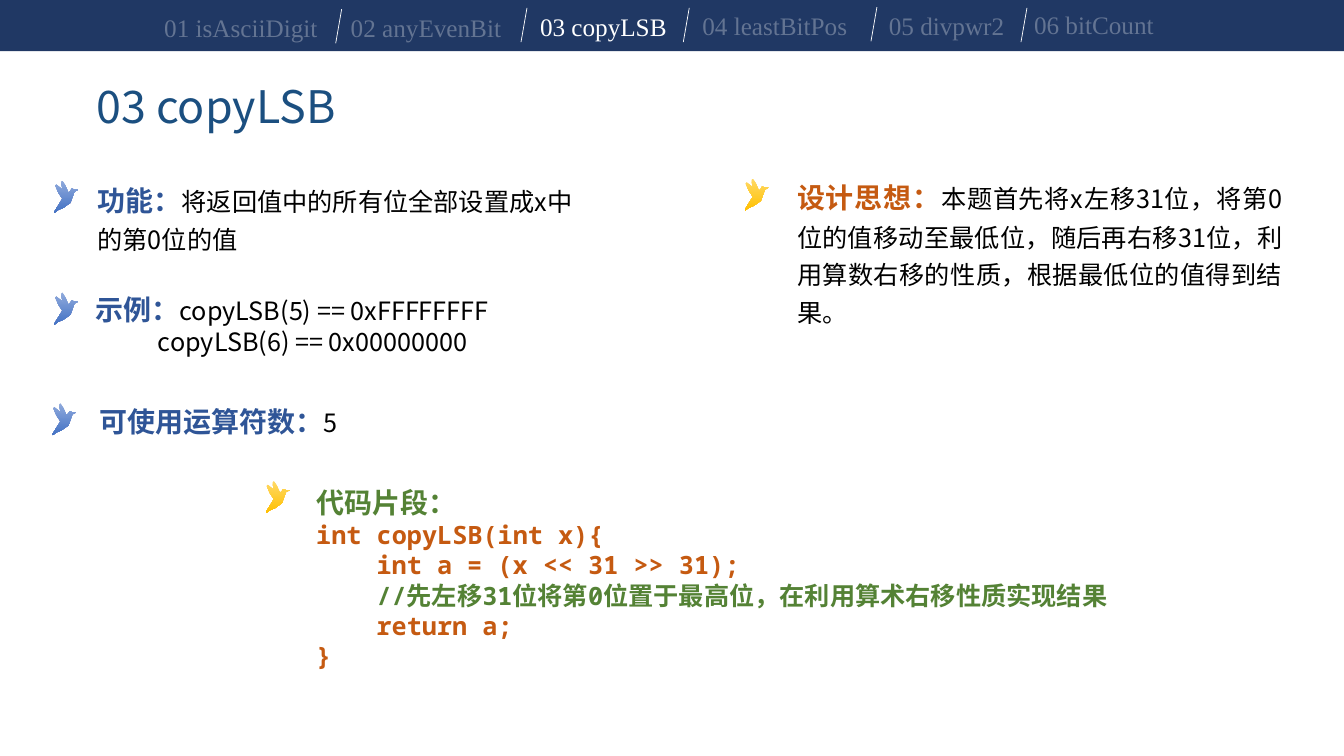
"""Build the copyLSB function slide with its navigation bar."""
from dataclasses import dataclass

from lxml.etree import SubElement
from pptx import Presentation
from pptx.dml.color import RGBColor
from pptx.enum.shapes import MSO_CONNECTOR, MSO_SHAPE
from pptx.enum.text import MSO_AUTO_SIZE, PP_ALIGN
from pptx.oxml.ns import qn
from pptx.util import Cm, Pt


@dataclass(frozen=True)
class Theme:
    navy: str = "203864"
    title: str = "1B4F80"
    blue: str = "2F5597"
    orange: str = "C55A11"
    green: str = "548235"
    white: str = "FFFFFF"
    black: str = "000000"
    blue_bird: tuple = ("8FAADC", "4472C4")
    gold_bird: tuple = ("FFD966", "FFC000")
    sans: str = "Noto Sans CJK SC"
    mono: str = "Noto Sans Mono"
    serif: str = "Times New Roman"
    title_size: int = 32
    head_size: int = 20
    body_size: int = 18
    dim: int = 30


T = Theme()
BIRD = [(24, 9), (20, 9), (18.5, 8), (17, 8), (15.5, 9.5), (14, 12), (11, 5), (8, 0),
        (7, 1), (7, 4), (8, 8), (10.5, 11), (12, 14), (12, 15), (7.4, 8), (2, 4),
        (1, 5), (3.8, 11.9), (8, 18), (0, 31), (0, 32), (4.5, 28.7), (9, 27),
        (16.4, 21.6), (20, 11)]
TABS = [("01 isAsciiDigit", 3.89, 0.18, 4.42), ("02 anyEvenBit", 8.59, 0.18, 4.34),
        ("03 copyLSB", 13.36, 0.15, 3.73), ("04 leastBitPos", 17.45, 0.13, 4.19),
        ("05 divpwr2", 22.15, 0.13, 3.45), ("06 bitCount", 25.81, 0.1, 3.56)]
SLASHES = [(8.46, 0.23), (13.13, 0.2), (17.22, 0.2), (21.95, 0.18), (25.73, 0.2)]


def apply(target, values):
    """Set every named attribute on the target."""
    for name, value in values.items():
        setattr(target, name, value)


def run(text, color, size=T.body_size, font=T.sans, bold=False, alpha=None):
    """Describe one run of text."""
    return text, color, alpha, {"size": Pt(size), "name": font, "bold": bold}


def head(text, color):
    """Describe a bold section label."""
    return run(text, color, T.head_size, bold=True)


def code(text, color=T.orange):
    """Describe a line of code."""
    return run(text, color, font=T.mono, bold=True)


def add_run(p, text, color, alpha, font):
    """Append a formatted run to a paragraph."""
    r = p.add_run()
    r.text = text
    apply(r.font, font)
    r.font.color.rgb = RGBColor.from_string(color)
    rPr = r.font._element
    if alpha:
        clr = rPr.find(qn("a:solidFill")).find(qn("a:srgbClr"))
        SubElement(clr, qn("a:alpha"), val=str(alpha * 1000))
    face = T.serif if font["name"] == T.serif else T.sans
    SubElement(rPr, qn("a:ea"), typeface=face)


def add_text(s, box, paragraphs, wrap=True, **layout):
    """Add a text box from pairs of left indent and runs."""
    tf = s.shapes.add_textbox(*map(Cm, box)).text_frame
    apply(tf, {"word_wrap": wrap, "auto_size": MSO_AUTO_SIZE.SHAPE_TO_FIT_TEXT})
    for i, (indent, runs) in enumerate(paragraphs):
        p = tf.add_paragraph() if i else tf.paragraphs[0]
        apply(p, layout)
        if indent:
            p._p.get_or_add_pPr().set("marL", str(Cm(indent)))
        for r in runs:
            add_run(p, *r)


def add_bar(s):
    """Add the navy band across the top."""
    sp = s.shapes.add_shape(MSO_SHAPE.RECTANGLE, 0, Cm(-0.08), Cm(33.87), Cm(1.37))
    sp.shadow.inherit = False
    sp.fill.solid()
    sp.fill.fore_color.rgb = RGBColor.from_string(T.navy)
    sp.line.fill.background()


def add_slash(s, x, y):
    """Add a slanted separator between two tabs."""
    ends = map(Cm, (x + 0.15, y, x, y + 0.86))
    line = s.shapes.add_connector(MSO_CONNECTOR.STRAIGHT, *ends)
    line.line.width = Pt(0.5)
    line.line.color.rgb = RGBColor.from_string(T.white)
    SubElement(line._element.spPr, qn("a:effectLst"))


def add_bird(s, x, y, colors):
    """Add a bird bullet with a vertical gradient."""
    builder = s.shapes.build_freeform(*BIRD[0], scale=Cm(0.0254))
    builder.add_line_segments(BIRD[1:], close=True)
    sp = builder.convert_to_shape(Cm(x), Cm(y))
    sp.shadow.inherit = False
    sp.line.fill.background()
    sp.fill.gradient()
    sp.fill.gradient_angle = 270
    for stop, color in zip(sp.fill.gradient_stops, colors):
        stop.color.rgb = RGBColor.from_string(color)


def add_navigation(s, current):
    """Add the bar, its tabs and separators."""
    add_bar(s)
    for label, x, y, w in TABS:
        alpha = None if label == current else T.dim
        tab = run(label, T.white, font=T.serif, alpha=alpha)
        add_text(s, (x, y, w, 1.02), [(0, [tab])], wrap=False)
    for x, y in SLASHES:
        add_slash(s, x, y)


def main():
    """Build and save the slide."""
    prs = Presentation()
    apply(prs, {"slide_width": Cm(33.87), "slide_height": Cm(19.05)})
    s = prs.slides.add_slide(prs.slide_layouts[6])
    add_navigation(s, "03 copyLSB")
    add_text(s, (2.18, 1.85, 6.78, 1.63),
             [(0, [run("03 copyLSB", T.title, T.title_size)])], wrap=False)
    for x, y, colors in [(1.37, 4.55, T.blue_bird), (1.37, 7.37, T.blue_bird),
                         (1.32, 10.16, T.blue_bird), (18.77, 4.5, T.gold_bird),
                         (6.7, 12.12, T.gold_bird)]:
        add_bird(s, x, y, colors)
    add_text(s, (2.21, 4.29, 12.73, 3.84),
             [(0, [head("功能：", T.blue),
                   run("将返回值中的所有位全部设置成x中的第0位的值", T.black)])],
             line_spacing=1.25)
    add_text(s, (2.16, 7.24, 12.73, 2.64),
             [(0, [head("示例：", T.blue), run("copyLSB(5) == 0xFFFFFFFF", T.black)]),
              (1.57, [run("copyLSB(6) == 0x00000000", T.black)])])
    add_text(s, (2.26, 10.08, 12.73, 1.12),
             [(0, [head("可使用运算符数：", T.blue), run("5", T.black)])])
    add_text(s, (19.84, 4.22, 12.73, 4.98),
             [(0, [head("设计思想：", T.orange),
                   run("本题首先将x左移31位，将第0位的值移动至最低位，随后再右移31位，"
                       "利用算数右移的性质，根据最低位的值得到结果。", T.black)])],
             line_spacing=1.25, alignment=PP_ALIGN.JUSTIFY)
    add_text(s, (7.72, 12.12, 24.82, 4.95),
             [(0, [head("代码片段：", T.green)]),
              (0, [code("int copyLSB(int x){")]),
              (1.52, [code("int a = (x << 31 >> 31);")]),
              (1.52, [code("//先左移31位将第0位置于最高位，在利用算术右移性质实现结果", T.green)]),
              (1.52, [code("return a;")]),
              (0, [code("}")])])
    prs.save("out.pptx")


if __name__ == "__main__":
    main()
